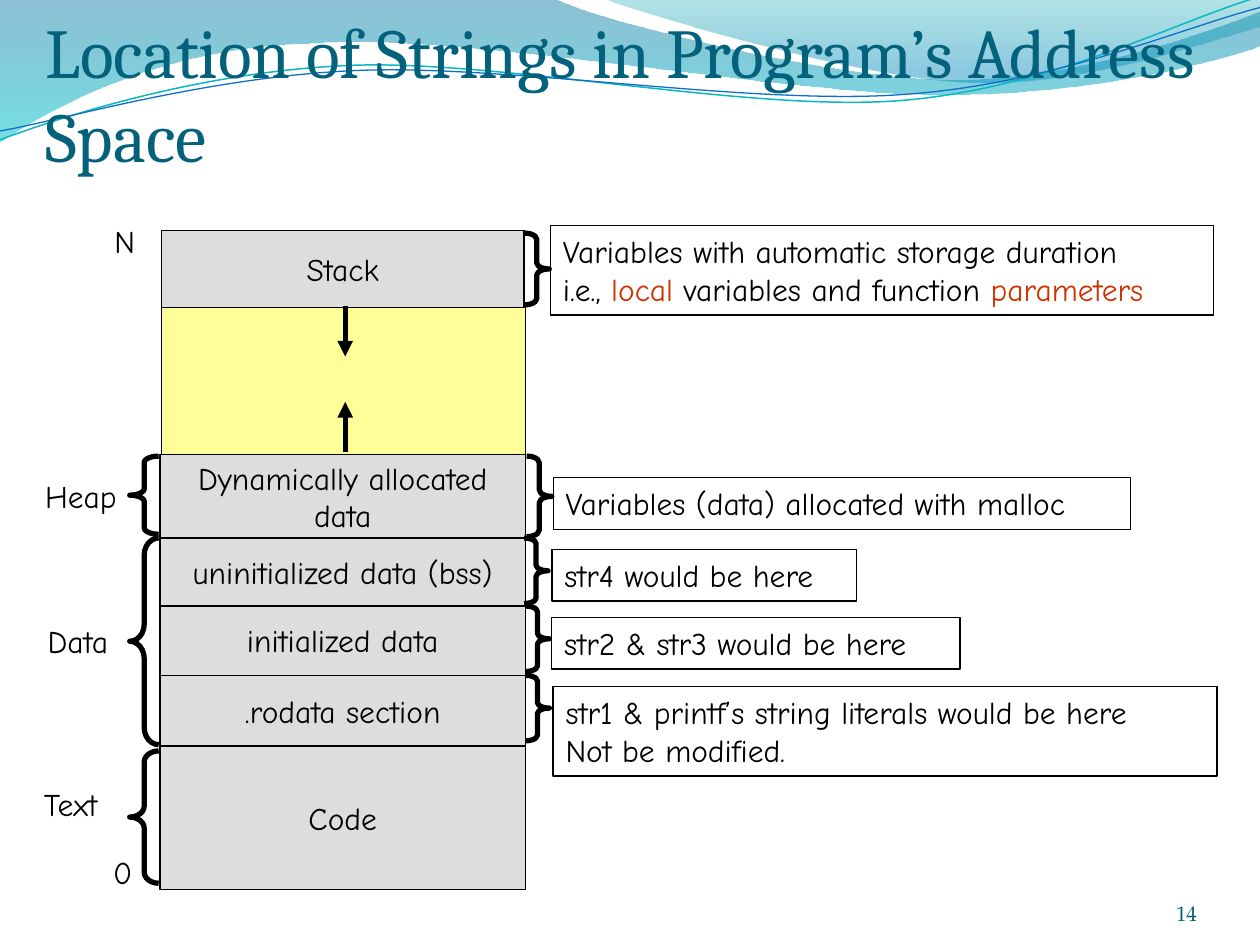
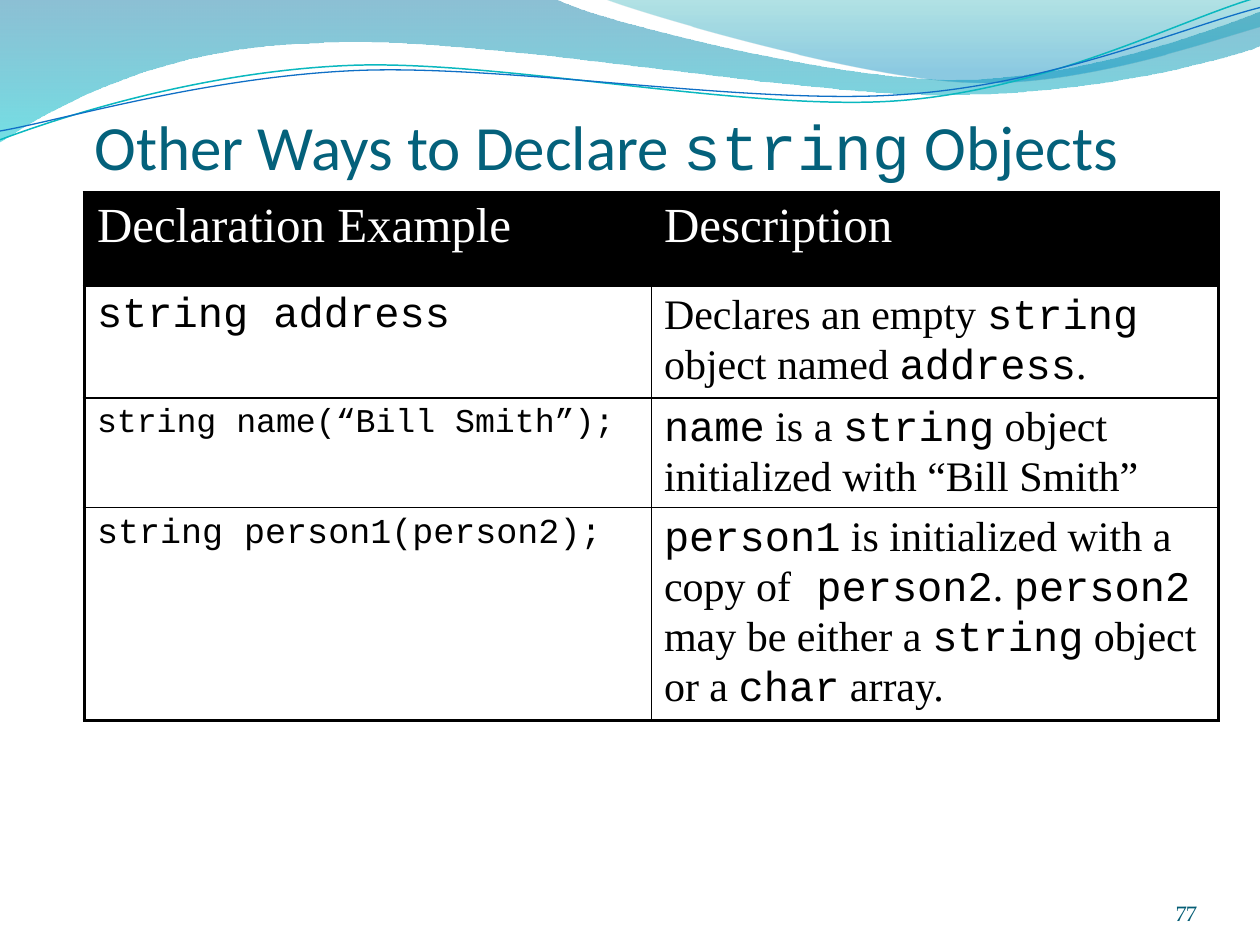
from dataclasses import dataclass, replace

from lxml import etree
from pptx import Presentation
from pptx import util as u
from pptx.dml.color import RGBColor
from pptx.enum import shapes, text
from pptx.oxml.ns import qn


@dataclass(frozen=True)
class Style:
    font: str
    size: float
    color: str


@dataclass(frozen=True)
class Theme:
    ink: str = "000000"
    block: str = "DDDDDD"
    free: str = "FFFF99"
    teal_line: str = "0AB8BF"
    blue_line: str = "0F6FC6"
    thin: float = 0.75
    thick: float = 3
    inner: float = 1
    outer: float = 2.25
    title: Style = Style("Cambria", 40, "04617B")
    title_sans: Style = Style("Calibri", 36, "04617B")
    title_code: Style = Style("Courier New", 36, "04617B")
    number: Style = Style("TeX Gyre Pagella", 12, "045D75")
    label: Style = Style("Comic Neue", 18, "000000")
    accent: Style = Style("Comic Neue", 18, "CC3300")
    head: Style = Style("Times New Roman", 28, "FFFFFF")
    body: Style = Style("Times New Roman", 24, "000000")
    code: Style = Style("Courier New", 24, "000000")


T = Theme()
BAND = [(0, 0), (4.4, -0.01),
        [(4.76, 0.17), (6.64, 0.63), (7.58, 0.63)],
        [(8.53, 0.63), (9.58, 0.26), (10, 0.09)], (10.01, 0.36),
        [(9.83, 0.44), (8.7, 0.76), (7.46, 0.75)],
        [(6.22, 0.75), (3.82, 0.28), (2.57, 0.34)],
        [(1.29, 0.36), (0.46, 0.83), (-0.01, 1.13)], (0, 0)]
CORNER = [(4.79, -0.01), [(5.09, 0.11), (6.82, 0.62), (7.69, 0.65)],
          [(8.56, 0.69), (9.61, 0.32), (10, 0.21)], (10, 0), (4.79, -0.01)]
TEAL_CURVE = [(0, 1.11), [(0.48, 0.93), (1.58, 0.57), (2.77, 0.52)],
              [(3.95, 0.47), (5.93, 0.89), (7.13, 0.8)],
              [(8.33, 0.71), (9.38, 0.15), (9.98, -0.02)]]
BLUE_CURVE = [(0, 1.04), [(0.47, 0.96), (1.64, 0.61), (2.83, 0.56)],
              [(4.03, 0.51), (5.97, 0.84), (7.17, 0.75)],
              [(8.36, 0.67), (9.41, 0.21), (10, 0.06)]]


def rgb(color):
    return RGBColor.from_string(color)


def inches(*values):
    return [u.Inches(v) for v in values]


def write(tf, paragraphs, align=text.PP_ALIGN.LEFT):
    tf.word_wrap = True
    for i, runs in enumerate(paragraphs):
        p = tf.paragraphs[0] if i == 0 else tf.add_paragraph()
        p.alignment = align
        for words, style in runs:
            r = p.add_run()
            r.text = words
            r.font.name = style.font
            r.font.size = u.Pt(style.size)
            r.font.color.rgb = rgb(style.color)


def add_text(s, box, runs, align=text.PP_ALIGN.LEFT):
    tf = s.shapes.add_textbox(*inches(*box)).text_frame
    write(tf, [runs], align)
    return tf


def add_label(s, box, words):
    tf = add_text(s, box, [(words, T.label)])
    tf.word_wrap = False
    tf.auto_size = text.MSO_AUTO_SIZE.SHAPE_TO_FIT_TEXT


def add_bottom_text(s, box, runs, top_inset=0, align=text.PP_ALIGN.LEFT):
    tf = add_text(s, box, runs, align)
    tf.margin_left = tf.margin_right = tf.margin_bottom = 0
    tf.margin_top = u.Inches(top_inset)
    tf.vertical_anchor = text.MSO_ANCHOR.BOTTOM


def add_shape(s, kind, box, fill=None, width=T.thin):
    sp = s.shapes.add_shape(kind, *inches(*box))
    sp.shadow.inherit = False
    if fill:
        sp.fill.solid()
        sp.fill.fore_color.rgb = rgb(fill)
    else:
        sp.fill.background()
    sp.line.color.rgb = rgb(T.ink)
    sp.line.width = u.Pt(width)
    return sp


def add_block(s, box, lines):
    sp = add_shape(s, shapes.MSO_SHAPE.RECTANGLE, box, T.block)
    sp.text_frame.vertical_anchor = text.MSO_ANCHOR.MIDDLE
    write(sp.text_frame, [[(line, T.label)] for line in lines], text.PP_ALIGN.CENTER)


def add_note(s, box, paragraphs):
    sp = add_shape(s, shapes.MSO_SHAPE.RECTANGLE, box)
    sp.text_frame.vertical_anchor = text.MSO_ANCHOR.TOP
    write(sp.text_frame, paragraphs)


def add_brace(s, kind, box, curl):
    add_shape(s, kind, box, width=T.thick).adjustments[0] = curl


def add_arrow(s, x, start_y, end_y):
    c = s.shapes.add_connector(shapes.MSO_CONNECTOR.STRAIGHT, *inches(x, start_y, x, end_y))
    c.line.color.rgb = rgb(T.ink)
    c.line.width = u.Pt(T.thick)
    etree.SubElement(c.line._get_or_add_ln(), qn("a:tailEnd"), type="triangle")
    etree.SubElement(c._element.spPr, qn("a:effectLst"))


def add_outline(s, outline, close):
    points = []
    for part in outline:
        points.extend(part if isinstance(part, list) else [part])
    points = [inches(*pt) for pt in points]
    builder = s.shapes.build_freeform(*points[0])
    builder.add_line_segments(points[1:], close=close)
    sp = builder.convert_to_shape()
    sp.shadow.inherit = False
    segments = iter(list(sp._element.spPr.iter(qn("a:lnTo"))))
    for part in outline[1:]:
        segment = next(segments)
        if isinstance(part, list):
            curve = etree.Element(qn("a:cubicBezTo"))
            segment.addprevious(curve)
            for control in (segment, next(segments), next(segments)):
                curve.append(control[0])
                control.getparent().remove(control)
    return sp


def add_wave(s, outline, stops):
    sp = add_outline(s, outline, True)
    sp.line.fill.background()
    sp.fill.gradient()
    sp.fill.gradient_angle = 270
    for stop, (position, color, _) in zip(sp.fill.gradient_stops, stops):
        stop.position = position
        stop.color.rgb = rgb(color)
    for clr, (_, _, opacity) in zip(sp._element.spPr.iter(qn("a:srgbClr")), stops):
        etree.SubElement(clr, qn("a:alpha"), val=str(opacity * 1000))


def add_curve(s, outline, color, width):
    sp = add_outline(s, outline, False)
    sp.fill.background()
    sp.line.color.rgb = rgb(color)
    sp.line.width = u.Pt(width)


def add_slide(prs, number, title, box):
    s = prs.slides.add_slide(prs.slide_layouts[6])
    add_wave(s, BAND, [(0, "0074A1", 45), (1, "00C6CF", 55)])
    add_wave(s, CORNER, [(0, "00A1A9", 30), (0.8, "008BBF", 45)])
    add_curve(s, TEAL_CURVE, T.teal_line, 0.85)
    add_curve(s, BLUE_CURVE, T.blue_line, 0.75)
    add_bottom_text(s, box, title, 0.05)
    add_bottom_text(s, (8.67, 6.95, 0.83, 0.4), [(number, T.number)],
                    align=text.PP_ALIGN.RIGHT)
    return s


def set_borders(cell, widths):
    tcPr = cell._tc.get_or_add_tcPr()
    for i, (side, width) in enumerate(zip("LRTB", widths)):
        ln = etree.Element(qn(f"a:ln{side}"), w=str(u.Pt(width)))
        fill = etree.SubElement(ln, qn("a:solidFill"))
        etree.SubElement(fill, qn("a:srgbClr"), val=T.ink)
        tcPr.insert(i, ln)


def add_grid(s, left, top, col_width, heights, rows):
    n_rows, n_cols = len(rows), len(rows[0])
    table = s.shapes.add_table(n_rows, n_cols, *inches(
        left, top, col_width * n_cols, sum(heights))).table
    for col in table.columns:
        col.width = u.Inches(col_width)
    for i, row in enumerate(rows):
        table.rows[i].height = u.Inches(heights[i])
        for j, runs in enumerate(row):
            cell = table.cell(i, j)
            cell.margin_bottom = u.Inches(0.02)
            if i == 0:
                cell.fill.solid()
                cell.fill.fore_color.rgb = rgb(T.ink)
            else:
                cell.fill.background()
            edges = (j == 0, j == n_cols - 1, i == 0, i == n_rows - 1)
            set_borders(cell, [T.outer if edge else T.inner for edge in edges])
            write(cell.text_frame, [runs])


def build_address_space(prs):
    s = add_slide(prs, "14", [("Location of Strings in Program’s Address Space", T.title)],
                  (0.36, 0.16, 9.36, 1.24))
    add_shape(s, shapes.MSO_SHAPE.RECTANGLE, (1.28, 2.43, 2.89, 1.3), T.free)
    add_block(s, (1.28, 1.83, 2.88, 0.61), ["Stack"])
    add_arrow(s, 2.74, 3.59, 3.19)
    add_arrow(s, 2.74, 2.43, 2.83)
    for top, height, lines in [(5.92, 1.14, ["Code"]), (5.36, 0.56, [".rodata section"]),
                               (4.8, 0.56, ["initialized data"]),
                               (4.26, 0.55, ["uninitialized data (bss)"]),
                               (3.61, 0.66, ["Dynamically allocated", "data"])]:
        add_block(s, (1.27, top, 2.9, height), lines)

    for words, left, top, width in [("N", 0.81, 1.71, 0.4), ("Heap", 0.26, 3.74, 0.79),
                                    ("Data", 0.28, 4.89, 0.76), ("Text", 0.25, 6.18, 0.77),
                                    ("0", 0.8, 6.72, 0.35)]:
        add_label(s, (left, top, width, 0.4), words)
    for top, height, curl in [(3.62, 0.62, 0.22), (4.27, 1.64, 0.59), (5.96, 1.05, 0.38)]:
        add_brace(s, shapes.MSO_SHAPE.LEFT_BRACE, (1.03, top, 0.23, height), curl)
    for box, curl in [((4.16, 1.85, 0.2, 0.57), 0.24), ((4.18, 3.62, 0.2, 0.64), 0.26),
                      ((4.16, 4.27, 0.19, 0.52), 0.23), ((4.17, 4.81, 0.19, 0.52), 0.23),
                      ((4.17, 5.36, 0.19, 0.52), 0.23)]:
        add_brace(s, shapes.MSO_SHAPE.RIGHT_BRACE, box, curl)

    add_note(s, (4.37, 1.79, 5.26, 0.71), [
        [("Variables with automatic storage duration", T.label)],
        [("i.e., ", T.label), ("local", T.accent),
         (" variables and function ", T.label), ("parameters", T.accent)]])
    for box, lines in [
            ((4.39, 3.79, 4.58, 0.41), ["Variables (data) allocated with malloc"]),
            ((4.38, 4.36, 2.42, 0.41), ["str4 would be here"]),
            ((4.38, 4.9, 3.24, 0.41), ["str2 & str3 would be here"]),
            ((4.39, 5.45, 5.27, 0.71), ["str1 & printf’s string literals would be here",
                                        "Not be modified."])]:
        add_note(s, box, [[(line, T.label)] for line in lines])


def build_declarations(prs):
    s = add_slide(prs, "77", [("Other Ways to Declare ", T.title_sans),
                              ("string", T.title_code), (" Objects", T.title_sans)],
                  (0.75, 0.34, 8.5, 1.11))
    body, code = T.body, T.code
    add_grid(s, 0.67, 1.53, 4.5, [0.74, 0.89, 0.86, 1.69], [
        [[("Declaration Example", T.head)], [("Description", T.head)]],
        [[("string address", code)],
         [("Declares an empty ", body), ("string", code), (" object named ", body),
          ("address", code), (".", body)]],
        [[("string name(“Bill Smith”);", replace(code, size=19))],
         [("name", code), (" is a ", body), ("string", code),
          (" object initialized with “Bill Smith”", body)]],
        [[("string person1(person2);", replace(code, size=20))],
         [("person1", code), (" is initialized with a copy of", body), (" person2", code),
          (". ", body), ("person2", code), (" may be either a ", body), ("string", code),
          (" object or a ", body), ("char", code), (" array.", body)]]])


def main():
    prs = Presentation()
    prs.slide_width, prs.slide_height = inches(10, 7.5)
    build_address_space(prs)
    build_declarations(prs)
    prs.save("out.pptx")


if __name__ == "__main__":
    main()
